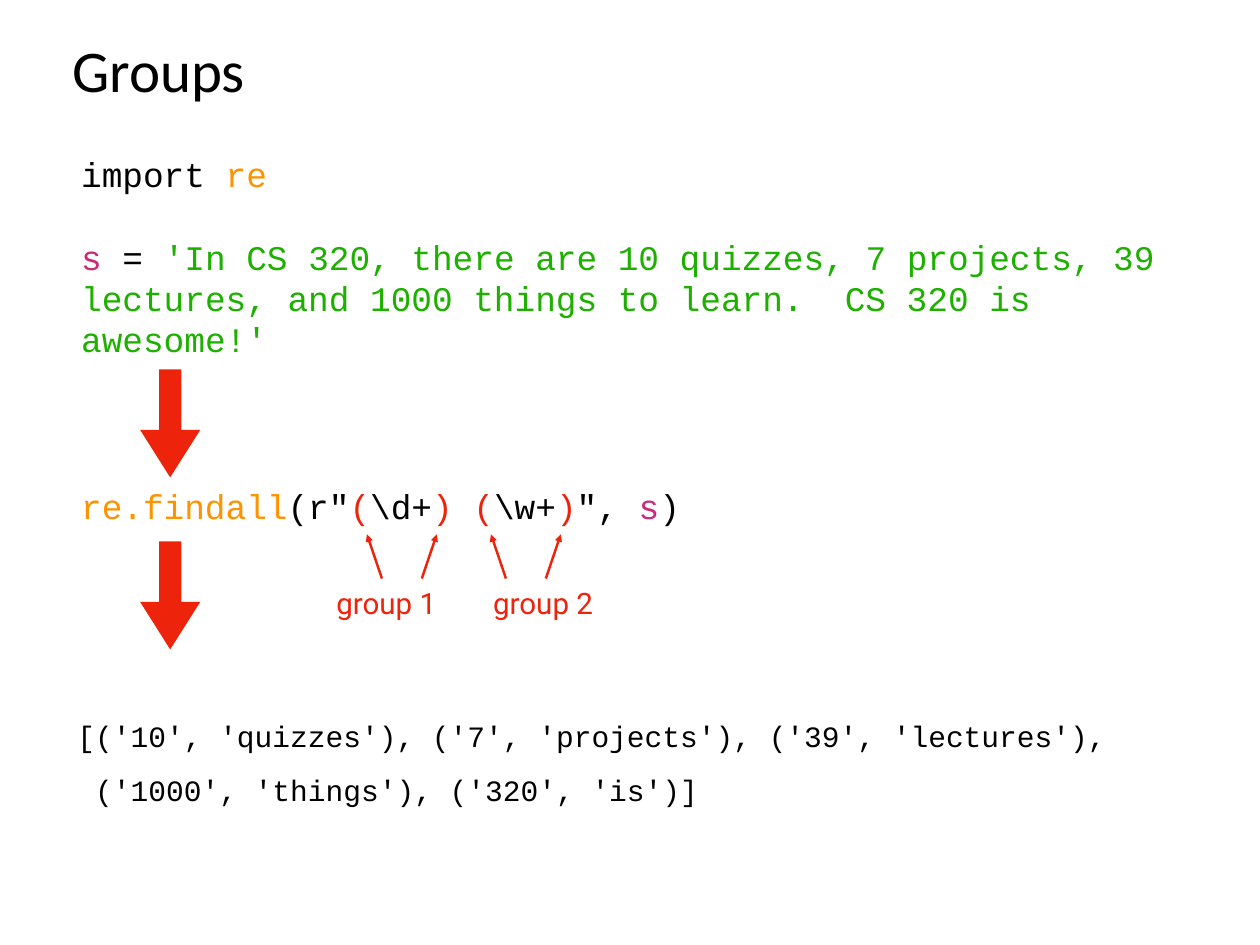
from lxml import etree
from pptx import Presentation
from pptx.dml.color import RGBColor
from pptx.enum.shapes import MSO_CONNECTOR as CONN, MSO_SHAPE as SHAPE
from pptx.enum.text import MSO_ANCHOR as ANCHOR, MSO_AUTO_SIZE as AUTO, PP_ALIGN as ALIGN
from pptx.oxml.ns import qn
from pptx.util import Pt

BLACK, RED, ORANGE = "000000", "EE230C", "FE9301"
PINK, GREEN = "CB2A7A", "1EB001"
CODE_FONT = "Courier New"

# Each paragraph is a list of (text, colour) runs.
TITLE = [[("Groups", BLACK)]]
SETUP = [
    [("import ", BLACK), ("re", ORANGE)],
    [("s", PINK), (" = ", BLACK),
     ("'In CS 320, there are 10 quizzes, 7 projects, 39 lectures, "
      "and 1000 things to learn.  CS 320 is awesome!'", GREEN)],
]
CALL = [[
    ("re.findall", ORANGE), ('(r"', BLACK), ("(", RED), ("\\d+", BLACK),
    (") (", RED), ("\\w+", BLACK), (")", RED), ('", ', BLACK),
    ("s", PINK), (")", BLACK),
]]
RESULT = [
    [("[('10', 'quizzes'), ('7', 'projects'), ('39', 'lectures'),", BLACK)],
    [(" ('1000', 'things'), ('320', 'is')]", BLACK)],
]
# Label text, label left, centre between its two pointers
GROUPS = [("group 1", 269.3, 326.6), ("group 2", 396.7, 427.4)]
STEP_ARROW_TOPS = (300.2, 440)
POINTER_BOTTOM, POINTER_TOP = 470.2, 434.2
POINTER_NEAR, POINTER_FAR = 16.2, 28.4


def rgb(value):
    return RGBColor.from_string(value)


def add_text(s, box, paragraphs, size, font, anchor=ANCHOR.TOP, wrap=True,
             align=ALIGN.LEFT, spacing=None, gap=0):
    """Add a text box; gap is the space before every paragraph but the first."""
    tf = s.shapes.add_textbox(*map(Pt, box)).text_frame
    tf.word_wrap = wrap
    tf.auto_size = AUTO.NONE if anchor == ANCHOR.MIDDLE and wrap else AUTO.SHAPE_TO_FIT_TEXT
    tf.vertical_anchor = anchor
    tf.margin_left = tf.margin_right = tf.margin_top = tf.margin_bottom = Pt(4)
    for i, runs in enumerate(paragraphs):
        p = tf.add_paragraph() if i else tf.paragraphs[0]
        p.alignment = align
        if spacing:
            p.line_spacing = Pt(spacing)
        if i and gap:
            p.space_before = Pt(gap)
        for text, color in runs:
            r = p.add_run()
            r.text = text
            r.font.size, r.font.name = Pt(size), font
            r.font.color.rgb = rgb(color)


def add_step_arrow(s, top):
    sp = s.shapes.add_shape(SHAPE.DOWN_ARROW, Pt(113.8), Pt(top), Pt(49), Pt(87.8))
    sp.adjustments[0], sp.adjustments[1] = 0.37, 0.79
    sp.shadow.inherit = False
    sp.fill.solid()
    sp.fill.fore_color.rgb = rgb(RED)
    sp.line.fill.background()


def add_pointer(s, x1, x2):
    """Draw a thin arrow from a group label up to one parenthesis."""
    c = s.shapes.add_connector(CONN.STRAIGHT, Pt(x1), Pt(POINTER_BOTTOM),
                               Pt(x2), Pt(POINTER_TOP))
    c.line.color.rgb = rgb(RED)
    c.line.width = Pt(2)
    etree.SubElement(c.line._get_or_add_ln(), qn("a:tailEnd"), type="triangle")
    etree.SubElement(c._element.spPr, qn("a:effectLst"))


def main():
    prs = Presentation()
    prs.slide_width, prs.slide_height = Pt(1024), Pt(768)
    s = prs.slides.add_slide(prs.slide_layouts[6])

    add_text(s, (54.7, 20.2, 911.5, 71.3), TITLE, 48, "Calibri", ANCHOR.MIDDLE)
    add_text(s, (62, 120.2, 887, 177.8), SETUP, 28, CODE_FONT, gap=33.7)
    add_text(s, (62, 390.2, 548, 41.8), CALL, 28, CODE_FONT)
    for top in STEP_ARROW_TOPS:
        add_step_arrow(s, top)
    for label, left, center in GROUPS:
        add_text(s, (left, 471.6, 89.3, 36), [[(label, RED)]], 24, "Roboto",
                 ANCHOR.MIDDLE, wrap=False, align=ALIGN.CENTER)
        for side in (-1, 1):
            add_pointer(s, center + side * POINTER_NEAR, center + side * POINTER_FAR)
    add_text(s, (59, 564.5, 844.6, 95), RESULT, 24, CODE_FONT,
             ANCHOR.MIDDLE, wrap=False, spacing=44)

    prs.save("out.pptx")


if __name__ == "__main__":
    main()
